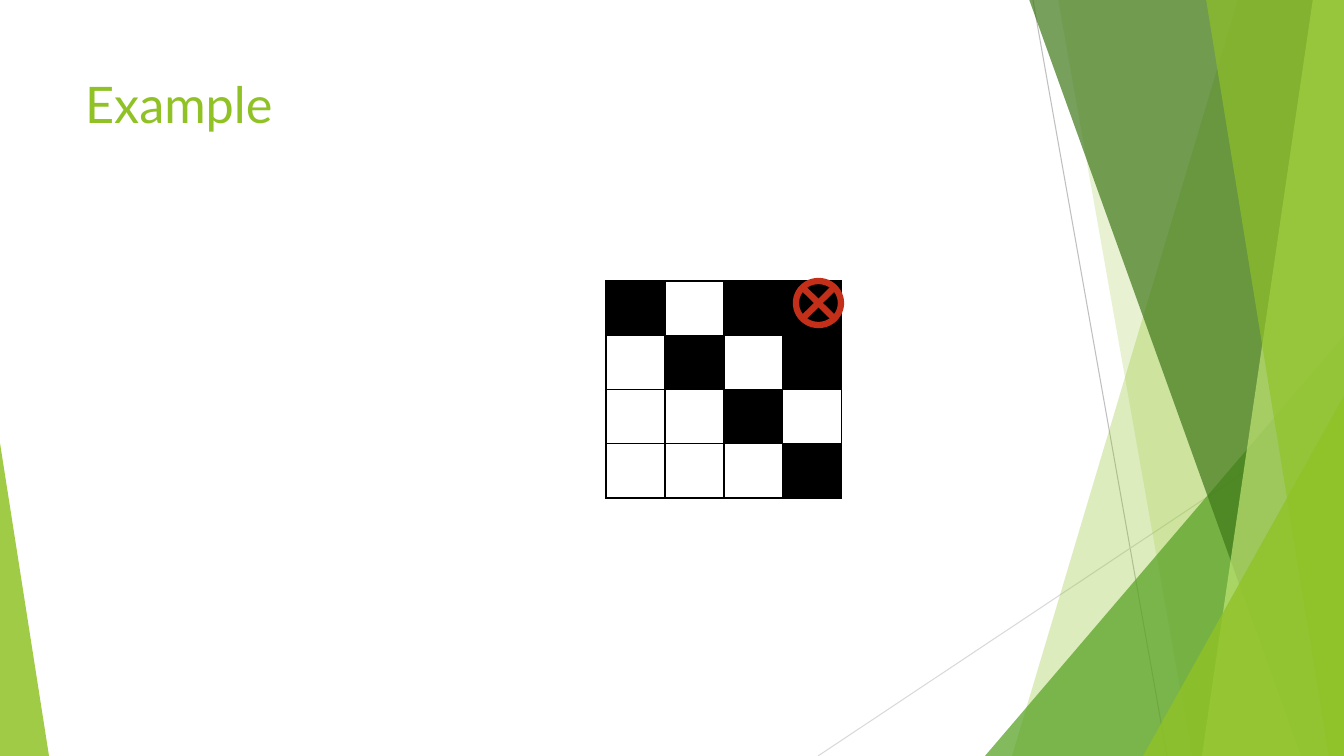
from lxml import etree
from pptx import Presentation
from pptx.dml.color import RGBColor
from pptx.enum.shapes import MSO_CONNECTOR, MSO_SHAPE
from pptx.enum.text import MSO_ANCHOR, MSO_AUTO_SIZE, PP_ALIGN
from pptx.oxml.ns import qn
from pptx.util import Pt

LINE = MSO_CONNECTOR.STRAIGHT
TRIANGLE = MSO_SHAPE.ISOSCELES_TRIANGLE
CROSS = MSO_SHAPE.FLOWCHART_SUMMING_JUNCTION
TOP = MSO_ANCHOR.TOP
LEFT = PP_ALIGN.LEFT
FIXED = MSO_AUTO_SIZE.NONE

WIDE, HIGH = 1344, 756
SCALE = 12192000 / WIDE
GREEN, BLACK, WHITE, RED = "90C226", "000000", "FFFFFF", "C42F1A"
GRID = ["#.##",
        ".#.#",
        "..#.",
        "...#"]


def px(n):
    return round(n * SCALE)


def box(x, y, w, h):
    return px(x), px(y), px(w), px(h)


def color(code):
    return RGBColor.from_string(code)


def tint(shape, code, alpha):
    """Fill a shape with a partly clear colour and no outline."""
    shape.shadow.inherit = False
    shape.line.fill.background()
    shape.fill.solid()
    shape.fill.fore_color.rgb = color(code)
    solid = shape._element.spPr.find(qn("a:solidFill"))
    etree.SubElement(solid[0], qn("a:alpha"), val=str(alpha * 1000))


def ray(shapes, x1, y1, x2, y2, code):
    line = shapes.add_connector(LINE, px(x1), px(y1), px(x2), px(y2))
    line.line.color.rgb = color(code)
    line.line.width = Pt(0.75)
    etree.SubElement(line._element.spPr, qn("a:effectLst"))


def band(shapes, top, foot, code, alpha):
    """Draw a panel from a slanted left edge to the right slide edge."""
    path = shapes.build_freeform(top, -1, scale=SCALE)
    path.add_line_segments([(WIDE, -1), (WIDE, HIGH), (foot, HIGH)])
    tint(path.convert_to_shape(), code, alpha)


def wedge(shapes, x, y, w, peak, code, alpha):
    """Draw a triangle that stands on the bottom slide edge."""
    shape = shapes.add_shape(TRIANGLE, *box(x, y, w, HIGH - y))
    shape.adjustments[0] = peak
    tint(shape, code, alpha)


def backdrop(shapes):
    ray(shapes, 1033, 0, 1167, HIGH, "BFBFBF")
    ray(shapes, WIDE, 406, 818, HIGH, "D9D9D9")
    band(shapes, 1238, 1012, GREEN, 30)
    band(shapes, 1058, 1192, GREEN, 20)
    wedge(shapes, 985, 336, 359, 1, "54A021", 72)
    band(shapes, 1029, 1301, "3F7819", 70)
    band(shapes, 1313, 1202, "C0E474", 70)
    band(shapes, 1206, 1329, GREEN, 65)
    wedge(shapes, 1143, 396, 201, 1, GREEN, 80)
    wedge(shapes, 0, 443, 49, 0, GREEN, 85)


def heading(title, x, y, w, h, text):
    title.left, title.top, title.width, title.height = box(x, y, w, h)
    frame = title.text_frame
    frame.auto_size = FIXED
    frame.word_wrap = True
    frame.vertical_anchor = TOP
    para = frame.paragraphs[0]
    para.alignment = LEFT
    run = para.add_run()
    run.text = text
    run.font.name = "Lato"
    run.font.size = Pt(36)
    run.font.color.rgb = color(GREEN)


def border(cell):
    props = cell._tc.get_or_add_tcPr()
    for at, side in enumerate(("lnL", "lnR", "lnT", "lnB")):
        edge = etree.Element(qn("a:" + side), w=str(Pt(1)))
        solid = etree.SubElement(edge, qn("a:solidFill"))
        etree.SubElement(solid, qn("a:srgbClr"), val=BLACK)
        props.insert(at, edge)


def board(shapes, x, y, w, h):
    """Draw the grid of cells and mark its top right one."""
    size = len(GRID)
    table = shapes.add_table(size, size, *box(x, y, w, h)).table
    table.first_row = table.horz_banding = False
    for col in table.columns:
        col.width = px(w / size)
    for r, row in enumerate(GRID):
        table.rows[r].height = px(h / size)
        for c, mark in enumerate(row):
            cell = table.cell(r, c)
            cell.fill.solid()
            cell.fill.fore_color.rgb = color(BLACK if mark == "#" else WHITE)
            border(cell)
    cross = shapes.add_shape(CROSS, *box(x + w - 46, y, 45, 44))
    cross.shadow.inherit = False
    cross.fill.background()
    cross.line.color.rgb = color(RED)
    cross.line.width = Pt(4.5)


def main():
    deck = Presentation()
    deck.slide_width, deck.slide_height = px(WIDE), px(HIGH)
    slide = deck.slides.add_slide(deck.slide_layouts[5])
    backdrop(slide.shapes)
    heading(slide.shapes.title, 75, 68, 948, 145, "Example")
    board(slide.shapes, 606, 281, 236, 217)
    deck.save("out.pptx")


if __name__ == "__main__":
    main()
